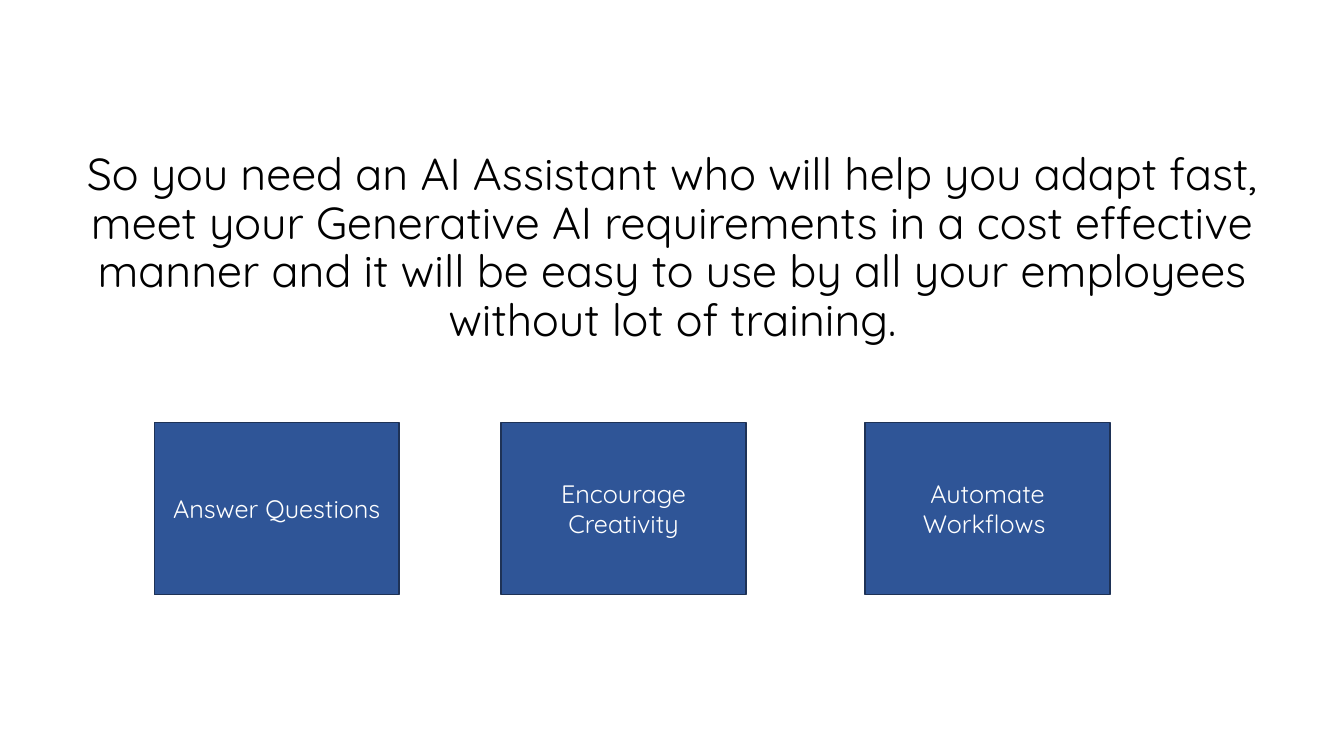
from dataclasses import dataclass

import pptx
import pptx.dml.color
import pptx.enum.shapes
import pptx.enum.text
import pptx.util
from pptx.util import Inches

TEXT = pptx.enum.text
FACE = "Quicksand"
CLAIM = (
    "So you need an AI Assistant who will help you adapt fast, "
    "meet your Generative AI requirements in a cost effective manner "
    "and it will be easy to use by all your employees "
    "without lot of training."
)


@dataclass
class Card:
    left: float
    label: str


CARDS = [
    Card(1.53, "Answer Questions"),
    Card(4.97, "Encourage Creativity"),
    Card(8.58, "Automate Workflows "),
]


def shade(code: str) -> pptx.dml.color.RGBColor:
    return pptx.dml.color.RGBColor.from_string(code)


def apply(target: object, form: dict) -> None:
    """Set each attribute named in form on target."""
    for name, value in form.items():
        setattr(target, name, value)


def place(shape: pptx.shapes.base.BaseShape, left: float, top: float,
          width: float, height: float) -> None:
    apply(shape, {"left": Inches(left), "top": Inches(top),
                  "width": Inches(width), "height": Inches(height)})


def write(shape: pptx.shapes.base.BaseShape, text: str, size: int,
          color: str, anchor: TEXT.MSO_ANCHOR, spacing: float) -> None:
    frame = shape.text_frame
    frame.text = text
    apply(frame, {"word_wrap": True, "auto_size": TEXT.MSO_AUTO_SIZE.NONE,
                  "vertical_anchor": anchor})
    line = frame.paragraphs[0]
    apply(line, {"alignment": TEXT.PP_ALIGN.CENTER, "line_spacing": spacing})
    font = line.runs[0].font
    apply(font, {"name": FACE, "size": pptx.util.Pt(size)})
    font.color.rgb = shade(color)


def draw(slide: pptx.slide.Slide, card: Card) -> None:
    box = slide.shapes.add_shape(
        pptx.enum.shapes.MSO_SHAPE.RECTANGLE, 0, 0, 0, 0)
    place(box, card.left, 4.19, 2.43, 1.71)
    box.shadow.inherit = False
    box.fill.solid()
    box.fill.fore_color.rgb = shade("2F5597")
    box.line.color.rgb = shade("1E3256")
    box.line.width = pptx.util.Pt(1)
    write(box, card.label, 18, "FFFFFF", TEXT.MSO_ANCHOR.MIDDLE, 1.0)


def main() -> None:
    deck = pptx.Presentation()
    apply(deck, {"slide_width": Inches(13.33), "slide_height": Inches(7.5)})
    slide = deck.slides.add_slide(deck.slide_layouts.get_by_name("Title Only"))
    title = slide.shapes.title
    place(title, 0.69, 1.46, 11.96, 2.6)
    write(title, CLAIM, 32, "000000", TEXT.MSO_ANCHOR.TOP, 0.9)
    for card in CARDS:
        draw(slide, card)
    deck.save("out.pptx")


if __name__ == "__main__":
    main()
